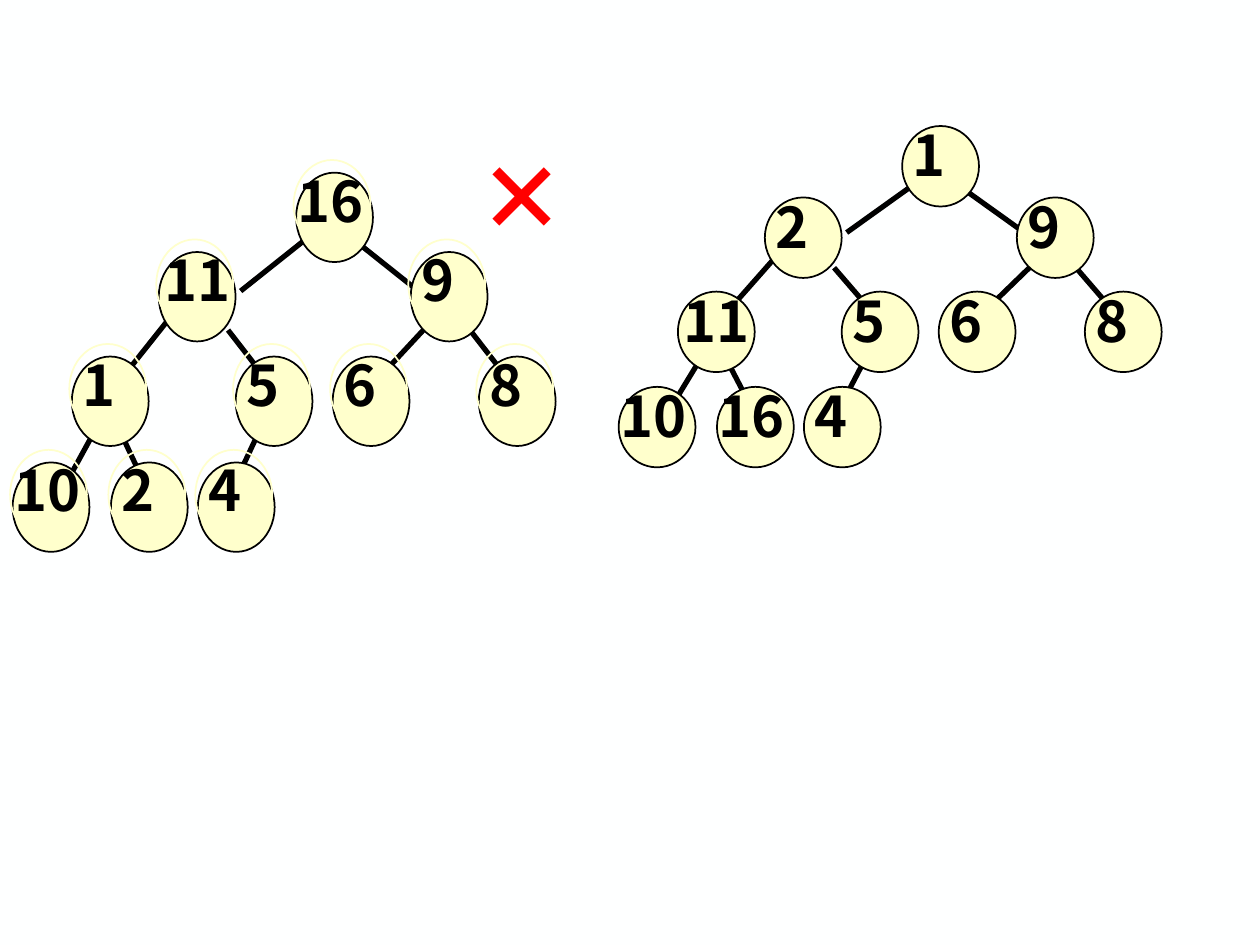
from dataclasses import dataclass

from lxml.etree import SubElement
from pptx import Presentation
from pptx.dml.color import RGBColor
from pptx.enum.shapes import MSO_CONNECTOR, MSO_SHAPE
from pptx.enum.text import MSO_ANCHOR
from pptx.oxml.ns import qn
from pptx.shapes.group import GroupShape
from pptx.slide import Slide
from pptx.util import Inches, Pt

COLORS = {"page": "FEFFFF", "node": "FFFFCC", "ink": "000000", "cross": "FF0000"}
NODE_FONT, CROSS_FONT = "Noto Sans CJK SC", "Times New Roman"
COLUMN = 0.1  # inches in one grid column
NODE_COLUMNS, NODE_ROWS = 6.1, 7.1
LABEL_WIDTH, LABEL_HEIGHT = 0.86, 0.63
INDENTS = {"11": 0.03, "10": 0, "16": 0}
DIGIT_INDENT = 0.07


@dataclass(frozen=True)
class Edge:
    start: tuple[float, float]
    end: tuple[float, float]


@dataclass(frozen=True)
class Tree:
    left: float
    top: float
    row: float  # inches in one grid row
    values: tuple[str, ...]
    outlined: bool = False

    def x(self, columns: float) -> int:
        return Inches(self.left + columns * COLUMN)

    def y(self, rows: float) -> int:
        return Inches(self.top + rows * self.row)


# Columns and rows counted from the root's top left corner, level by level
LEVEL_ROWS = (0, 6.3, 14.6, 23)
LEVEL_COLUMNS = ((0,), (-10.9, 9.1), (-17.8, -4.8, 2.9, 14.5), (-22.5, -14.7, -7.8))
NODES = [(column, row) for row, columns in zip(LEVEL_ROWS, LEVEL_COLUMNS)
         for column in columns]
EDGES = (
    Edge((-4.4, 9.4), (0.5, 5.5)),
    Edge((4.8, 5.5), (9.7, 9.4)),
    Edge((-10, 11.5), (-13.1, 15.4)),
    Edge((-5.4, 12.5), (-2.3, 16.5)),
    Edge((10.1, 12.5), (6.2, 16.7)),
    Edge((13.8, 12.5), (16.9, 16.5)),
    Edge((-16.2, 20.9), (-18.5, 25.1)),
    Edge((-12.3, 24.1), (-13.8, 20.9)),
    Edge((-3.1, 20.9), (-4.6, 24.1)),
)
TREES = (
    Tree(2.35, 1.37, 0.1,
         ("16", "11", "9", "1", "5", "6", "8", "10", "2", "4"), outlined=True),
    Tree(7.16, 1, 0.09, ("1", "2", "9", "11", "5", "6", "8", "10", "16", "4")),
)


def color(name: str) -> RGBColor:
    return RGBColor.from_string(COLORS[name])


def add_edge(group: GroupShape, tree: Tree, edge: Edge) -> None:
    line = group.shapes.add_connector(
        MSO_CONNECTOR.STRAIGHT, tree.x(edge.start[0]), tree.y(edge.start[1]),
        tree.x(edge.end[0]), tree.y(edge.end[1]))
    line.line.color.rgb = color("ink")
    line.line.width = Pt(3)
    SubElement(line._element.spPr, qn("a:effectLst"))


def add_oval(group: GroupShape, tree: Tree, column: float, row: float,
             line_color: str, filled: bool) -> None:
    oval = group.shapes.add_shape(
        MSO_SHAPE.OVAL, tree.x(column), tree.y(row),
        Inches(NODE_COLUMNS * COLUMN), Inches(NODE_ROWS * tree.row))
    oval.shadow.inherit = False
    if filled:
        oval.fill.solid()
        oval.fill.fore_color.rgb = color("node")
    else:
        oval.fill.background()
    oval.line.color.rgb = color(line_color)
    oval.line.width = Pt(1)


def add_text(parent: Slide | GroupShape, text: str, left: int, top: int, width: float,
             height: float, font: str, size: int, text_color: str, indent: float,
             anchor: MSO_ANCHOR) -> None:
    box = parent.shapes.add_textbox(left, top, Inches(width), Inches(height))
    frame = box.text_frame
    frame.word_wrap = True
    frame.vertical_anchor = anchor
    frame.margin_left = Inches(0.1 + indent)
    frame.margin_right = 0
    span = frame.paragraphs[0].add_run()
    span.text = text
    span.font.name = font
    span.font.size = Pt(size)
    span.font.bold = True
    span.font.color.rgb = color(text_color)


def add_tree(page: Slide, tree: Tree) -> None:
    group = page.shapes.add_group_shape()
    for edge in EDGES:
        add_edge(group, tree, edge)
    for column, row in NODES:
        add_oval(group, tree, column, row, "ink", filled=True)
    for (column, row), value in zip(NODES, tree.values):
        if tree.outlined:
            add_oval(group, tree, column - 0.2, row - 1, "node", filled=False)
        add_text(group, value, tree.x(column - 0.85), tree.y(row - 1),
                 LABEL_WIDTH, LABEL_HEIGHT, NODE_FONT, 32, "ink",
                 INDENTS.get(value, DIGIT_INDENT), MSO_ANCHOR.MIDDLE)


def main() -> None:
    deck = Presentation()
    deck.slide_width, deck.slide_height = Inches(10), Inches(7.5)
    page = deck.slides.add_slide(deck.slide_layouts[6])
    page.background.fill.solid()
    page.background.fill.fore_color.rgb = color("page")

    # Heap before and after
    for tree in TREES:
        add_tree(page, tree)

    # Cross beside the first tree
    add_text(page, "×", Inches(3.73), Inches(0.77), 1.91, 1.43,
             CROSS_FONT, 80, "cross", 0, MSO_ANCHOR.TOP)
    deck.save("out.pptx")


if __name__ == "__main__":
    main()
